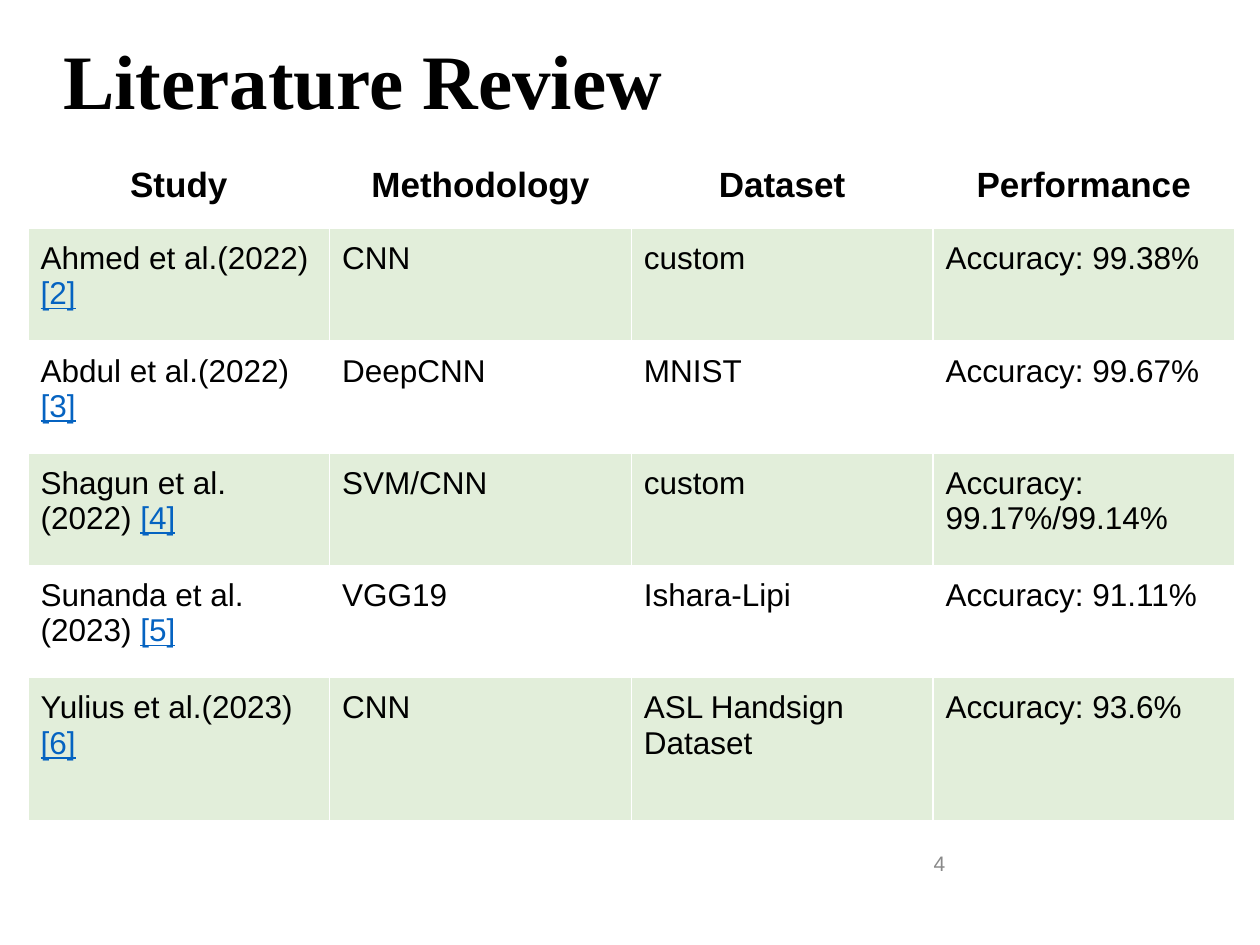
"""Build the literature review slide with its table of studies."""
import pptx
import pptx.dml.color
import pptx.enum.text
import pptx.oxml
import pptx.oxml.ns
import pptx.util

Pt = pptx.util.Pt
ALIGN = pptx.enum.text.PP_ALIGN
MIDDLE = pptx.enum.text.MSO_ANCHOR.MIDDLE
COLORS = {"text": "000000", "link": "0563C1", "band": "70AD47",
          "border": "FFFFFF", "number": "898989"}
HEADINGS = ["Study", "Methodology", "Dataset", "Performance"]
STUDIES = [
    ("Ahmed et al.(2022) ", "[2]", "CNN", "custom", "Accuracy: 99.38%"),
    ("Abdul et al.(2022) ", "[3]", "DeepCNN", "MNIST", "Accuracy: 99.67%"),
    ("Shagun et al.(2022) ", "[4]", "SVM/CNN", "custom", "Accuracy: 99.17%/99.14%"),
    ("Sunanda et al.(2023) ", "[5]", "VGG19", "Ishara-Lipi", "Accuracy: 91.11%"),
    ("Yulius et al.(2023)", "[6]", "CNN", "ASL Handsign Dataset", "Accuracy: 93.6%"),
]
COLUMN_WIDTH = 172.4
ROW_HEIGHTS = [43.2] + [64.2] * 4 + [81.4]


def add_span(para, text, size, color="text", font="Arial", bold=False, underline=False):
    span = para.add_run()
    span.text = text
    span.font.size = Pt(size)
    span.font.name = font
    span.font.bold = bold
    span.font.underline = underline
    span.font.color.rgb = pptx.dml.color.RGBColor.from_string(COLORS[color])


def place(shape, left, top, width, height):
    shape.left, shape.top = Pt(left), Pt(top)
    shape.width, shape.height = Pt(width), Pt(height)


def set_margins(target, size):
    target.margin_left = target.margin_right = Pt(size)
    target.margin_top = target.margin_bottom = Pt(size)


def add_title(page, text):
    title = page.shapes.title
    place(title, 36, 10, 648, 77)
    frame = title.text_frame
    frame.auto_size = pptx.enum.text.MSO_AUTO_SIZE.NONE
    frame.vertical_anchor = MIDDLE
    set_margins(frame, 0)
    para = frame.paragraphs[0]
    para.alignment = ALIGN.LEFT
    para.line_spacing = 0.9
    add_span(para, text, 44, font="Times New Roman", bold=True)


def format_cell(cell, banded):
    set_margins(cell, 7.2)
    properties = cell._tc.get_or_add_tcPr()
    for side in ("lnL", "lnR", "lnT", "lnB"):
        properties.append(pptx.oxml.parse_xml(
            f'<a:{side} {pptx.oxml.ns.nsdecls("a")} w="{Pt(0.75)}"><a:solidFill>'
            f'<a:srgbClr val="{COLORS["border"]}"/></a:solidFill></a:{side}>'))
    if banded:
        cell.fill.solid()
        cell.fill.fore_color.rgb = pptx.dml.color.RGBColor.from_string(COLORS["band"])
        shade = properties.find(pptx.oxml.ns.qn("a:solidFill"))[0]
        shade.append(pptx.oxml.parse_xml(
            f'<a:alpha {pptx.oxml.ns.nsdecls("a")} val="20000"/>'))
    else:
        cell.fill.background()


def add_study_table(page):
    frame = page.shapes.add_table(
        len(ROW_HEIGHTS), len(HEADINGS), Pt(16), Pt(87.4),
        Pt(COLUMN_WIDTH * len(HEADINGS)), Pt(sum(ROW_HEIGHTS)))
    table = frame.table
    table.horz_banding = False
    table.first_row = False
    for column in table.columns:
        column.width = Pt(COLUMN_WIDTH)
    for index, (row, height) in enumerate(zip(table.rows, ROW_HEIGHTS)):
        row.height = Pt(height)
        for cell in row.cells:
            format_cell(cell, index % 2 == 1)
    for cell, heading in zip(table.rows[0].cells, HEADINGS):
        para = cell.text_frame.paragraphs[0]
        para.alignment = ALIGN.CENTER
        add_span(para, heading, 20, bold=True)
    for index, (study, reference, *details) in enumerate(STUDIES, 1):
        first, *others = table.rows[index].cells
        para = first.text_frame.paragraphs[0]
        add_span(para, study, 18)
        if not study.endswith(" "):
            para = first.text_frame.add_paragraph()
        add_span(para, reference, 18, "link", underline=True)
        for cell, detail in zip(others, details):
            add_span(cell.text_frame.paragraphs[0], detail, 18)


def add_page_number(page, number):
    box = page.shapes.add_textbox(Pt(379.4), Pt(478.8), Pt(167.8), Pt(28.8))
    box.text_frame.word_wrap = True
    box.text_frame.vertical_anchor = MIDDLE
    para = box.text_frame.paragraphs[0]
    para.alignment = ALIGN.RIGHT
    add_span(para, number, 12, "number")


def main():
    deck = pptx.Presentation()
    deck.slide_width, deck.slide_height = Pt(720), Pt(540)
    page = deck.slides.add_slide(deck.slide_layouts.get_by_name("Title Only"))
    add_title(page, "Literature Review")
    add_study_table(page)
    add_page_number(page, "4")
    deck.save("out.pptx")


if __name__ == "__main__":
    main()
